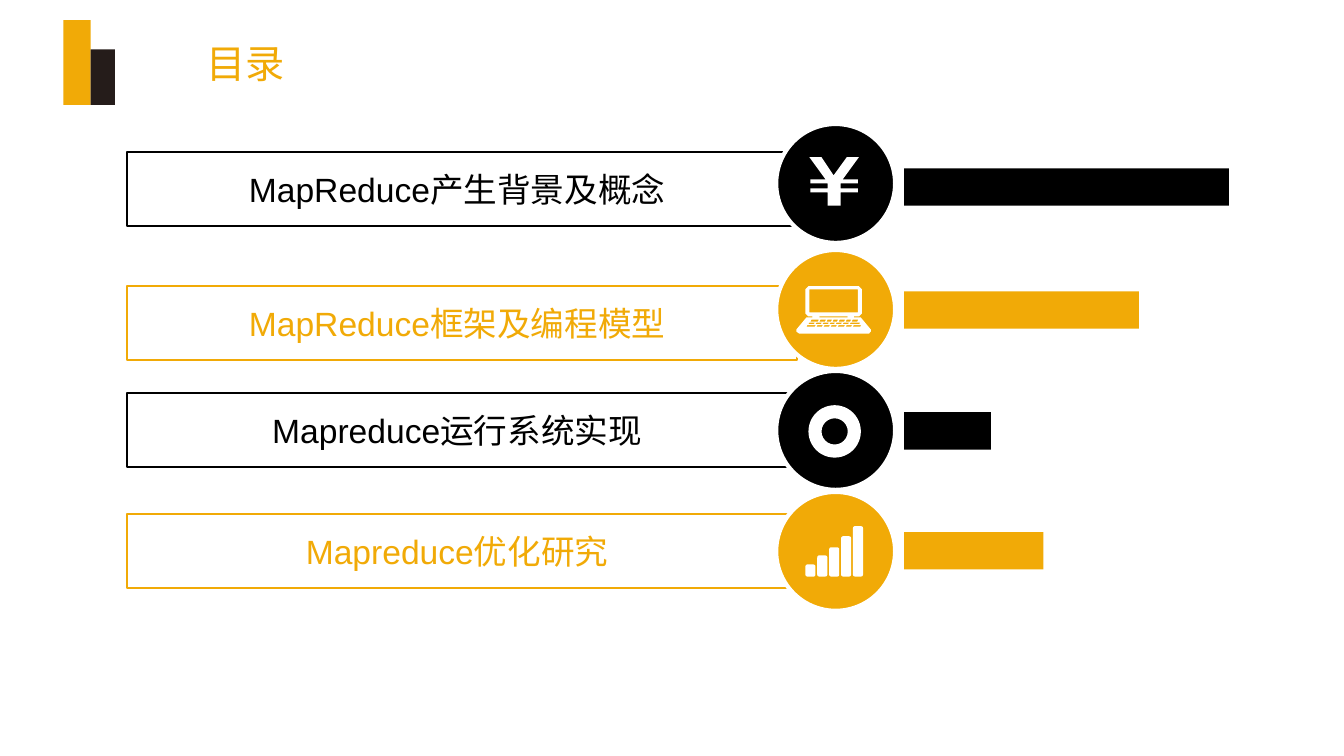
"""Build a contents slide with four labelled rows, round icons and bars."""
from pptx import Presentation
from pptx.dml.color import RGBColor
from pptx.enum.shapes import MSO_SHAPE
from pptx.enum.text import MSO_ANCHOR, PP_ALIGN
from pptx.util import Inches, Pt

BLACK = RGBColor(0x00, 0x00, 0x00)
GOLD = RGBColor(0xF1, 0xAA, 0x07)
DARK = RGBColor(0x25, 0x1C, 0x1A)
WHITE = RGBColor(0xFF, 0xFF, 0xFF)
CELL = Inches(0.1)
COLUMNS, ROWS = 133.33, 75

presentation = Presentation()
presentation.slide_width = int(COLUMNS * CELL)
presentation.slide_height = int(ROWS * CELL)
slide = presentation.slides.add_slide(presentation.slide_layouts[6])


def add_block(kind, left, top, width, height, fill=None, line=None, line_width=1.5):
    """Add a preset shape placed in grid cells."""
    shape = slide.shapes.add_shape(
        kind, *(int(length * CELL) for length in (left, top, width, height)))
    shape.shadow.inherit = False
    if fill is None:
        shape.fill.background()
    else:
        shape.fill.solid()
        shape.fill.fore_color.rgb = fill
    if line is None:
        shape.line.fill.background()
    else:
        shape.line.color.rgb = line
        shape.line.width = Pt(line_width)
    return shape


def add_outline(contours):
    """Add a white freeform whose contours are points in grid cells."""
    scaled = [[(x * 100, y * 100) for x, y in contour] for contour in contours]
    builder = slide.shapes.build_freeform(*scaled[0][0], scale=CELL / 100)
    for index, contour in enumerate(scaled):
        if index:
            builder.move_to(*contour[0])
        builder.add_line_segments(contour[1:], close=True)
    shape = builder.convert_to_shape()
    shape.shadow.inherit = False
    shape.fill.solid()
    shape.fill.fore_color.rgb = WHITE
    shape.line.fill.background()


add_block(MSO_SHAPE.RECTANGLE, 6.3, 2, 2.7, 8.4, GOLD)
add_block(MSO_SHAPE.RECTANGLE, 9, 4.9, 2.4, 5.5, DARK)

title = slide.shapes.add_textbox(*(int(n * CELL) for n in (19.5, 2, 99.7, 8.4)))
title.text_frame.word_wrap = True
title.text_frame.vertical_anchor = MSO_ANCHOR.MIDDLE
title.text_frame.text = "目录"
title_font = title.text_frame.paragraphs[0].runs[0].font
title_font.name, title_font.size = "Arial", Pt(28)
title_font.color.rgb = GOLD

topics = [
    ("MapReduce产生背景及概念", BLACK, 15.1, 12.3, 16.7, 32.2),
    ("MapReduce框架及编程模型", GOLD, 28.4, 24.8, 28.9, 23.3),
    ("Mapreduce运行系统实现", BLACK, 39, 36.8, 40.9, 8.6),
    ("Mapreduce优化研究", GOLD, 51, 48.8, 52.8, 13.8),
]
for text, color, box_top, circle_top, bar_top, bar_width in topics:
    box = add_block(MSO_SHAPE.RECTANGLE, 12.6, box_top, 66.5, 7.3, line=color)
    frame = box.text_frame
    frame.word_wrap = True
    frame.margin_right = Inches(0.2)
    frame.vertical_anchor = MSO_ANCHOR.MIDDLE
    frame.text = text
    paragraph = frame.paragraphs[0]
    paragraph.alignment = PP_ALIGN.CENTER
    font = paragraph.runs[0].font
    font.name, font.size = "Arial", Pt(24)
    font.color.rgb = color
    add_block(MSO_SHAPE.OVAL, 77, circle_top, 11.8, 11.8, color, WHITE, 3)
    add_block(MSO_SHAPE.RECTANGLE, 89.7, bar_top, bar_width, 3.7, color)

yen_right = [(82.7, 17.4), (84, 15.6), (85.2, 15.6), (83.6, 17.8), (85.1, 17.8),
             (85.1, 18.2), (83.4, 18.2), (83.4, 18.7), (85.1, 18.7), (85.1, 19.1),
             (83.4, 19.1), (83.4, 20.4)]
yen_left = [(165.5 - x, y) for x, y in reversed(yen_right[1:])]
add_outline([yen_right + yen_left])

laptop = [
    [(80, 31.5), (80.6, 31.5), (80.6, 31.4), (80.2, 31.4), (79.9, 31.1), (79.9, 28.7),
     (80.2, 28.4), (85.2, 28.4), (85.5, 28.7), (85.5, 31.1), (85.2, 31.4), (84.7, 31.4),
     (84.7, 31.5), (85.4, 31.5), (86.4, 32.7), (86.4, 32.9), (86.2, 33.1), (79.3, 33.1),
     (79, 32.9), (79, 32.7)],
    [(80.3, 28.7), (80.3, 31), (85.1, 31), (85.1, 28.7)],
    [(81.3, 31.4), (81.3, 31.5), (84.1, 31.5), (84.1, 31.4)],
]
key_rows = [
    (31.7, 31.9, [80.5, 81.4, 82.1, 82.7, 83.3, 84, 84.6, 85.3]),
    (32, 32.15, [80.3, 81, 81.7, 82.4, 83, 83.7, 84.4, 85.5]),
    (32.25, 32.4, [80.1, 81.1, 81.8, 82.5, 83.2, 84, 84.7, 85.6]),
]
for top, bottom, edges in key_rows:
    for left, next_left in zip(edges, edges[1:]):
        right = next_left - 0.15
        laptop.append([(left, top), (left - 0.1, bottom), (right - 0.1, bottom), (right, top)])
add_outline(laptop)

add_block(MSO_SHAPE.DONUT, 80.2, 40.2, 5.2, 5.2, WHITE)

for index, top in enumerate([56, 55.1, 54.3, 53.2, 52.2]):
    signal = add_block(MSO_SHAPE.ROUNDED_RECTANGLE, 79.9 + 1.18 * index, top, 1, 57.2 - top, WHITE)
    signal.adjustments[0] = 0.2

presentation.save("out.pptx")
